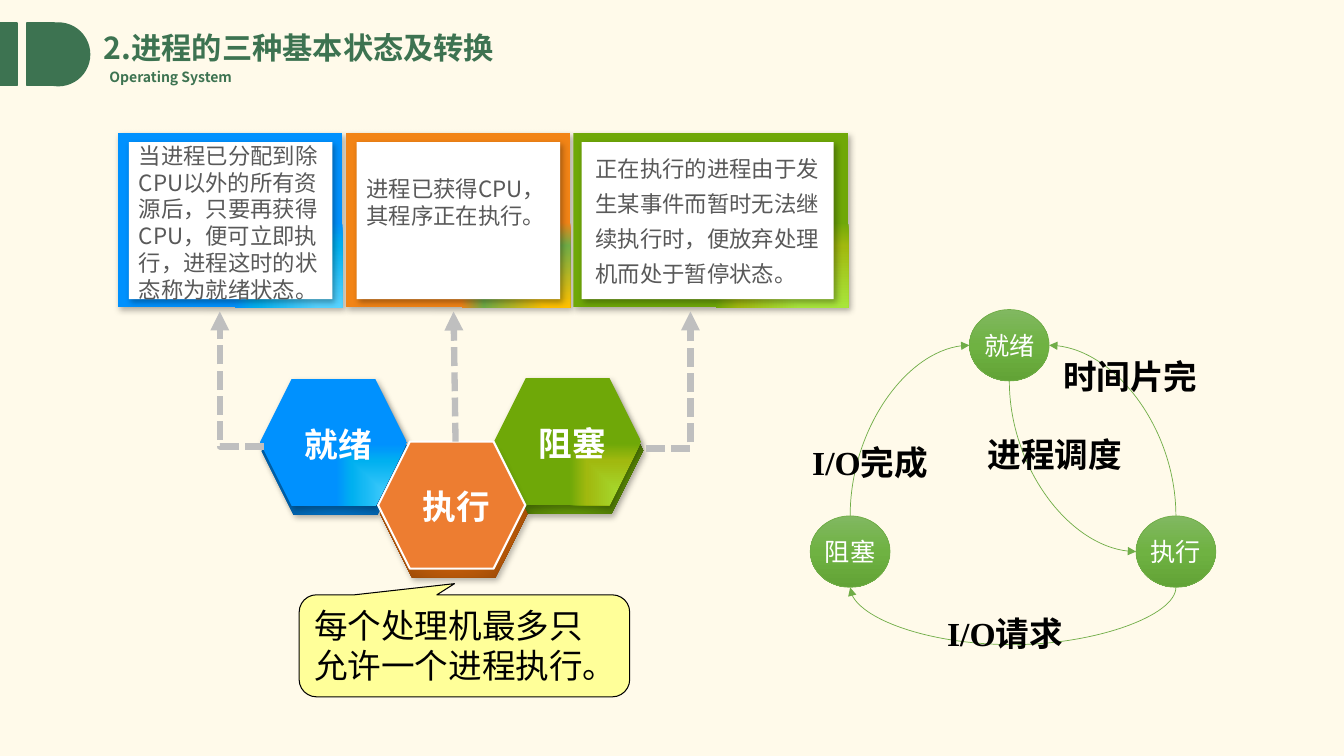
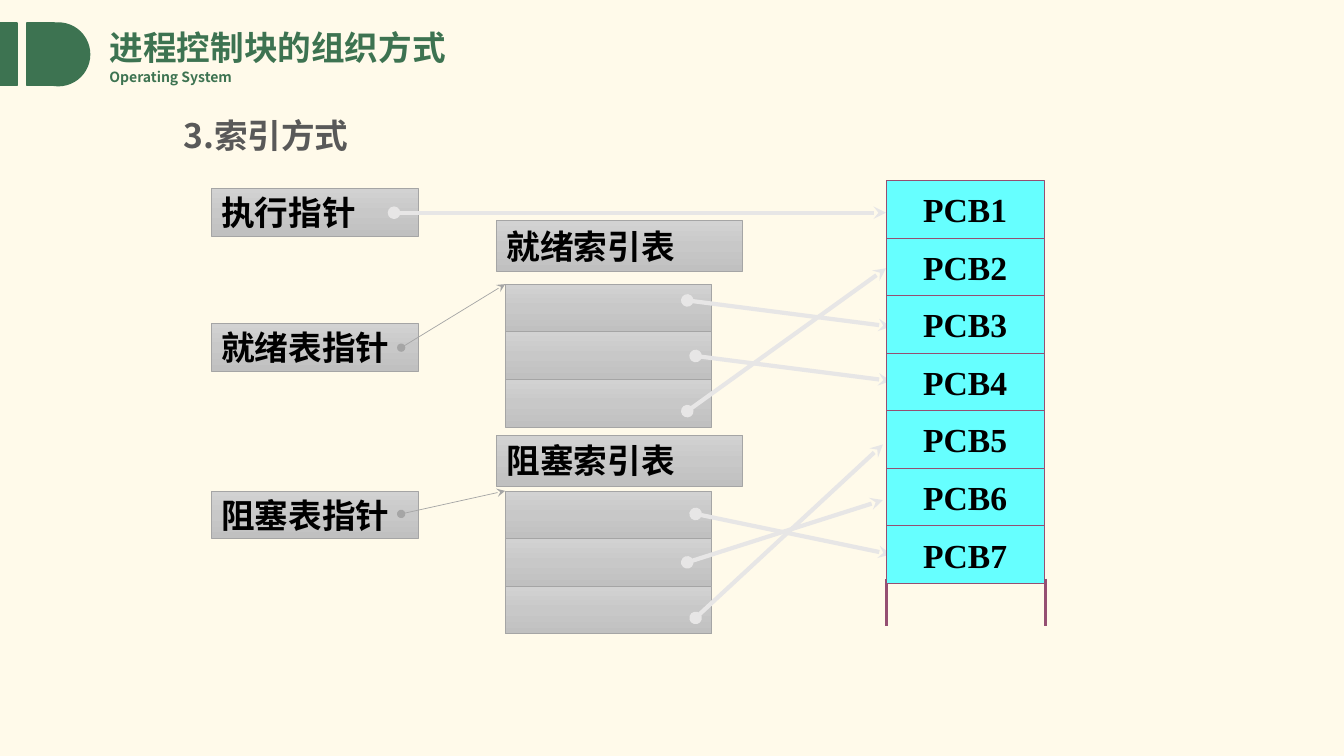
from lxml import etree
from pptx import Presentation
from pptx.dml.color import RGBColor
from pptx.enum.dml import MSO_LINE
from pptx.enum.shapes import MSO_CONNECTOR as Link, MSO_SHAPE as Preset
from pptx.enum.text import MSO_ANCHOR as Anchor, MSO_AUTO_SIZE, PP_ALIGN as Align
from pptx.oxml.ns import qn
from pptx.util import Cm, Pt

CREAM = RGBColor(0xFF, 0xFA, 0xEA)
GREEN = RGBColor(0x3D, 0x73, 0x51)
LEAF = RGBColor(0x70, 0xAD, 0x47)
ORANGE = RGBColor(0xED, 0x7D, 0x31)
YELLOW = RGBColor(0xFF, 0xFF, 0x99)
CYAN = RGBColor(0x66, 0xFF, 0xFF)
PLUM = RGBColor(0x95, 0x4F, 0x72)
WHITE = RGBColor(0xFF, 0xFF, 0xFF)
BLACK = RGBColor(0, 0, 0)
TEXT_GRAY = RGBColor(0x59, 0x59, 0x59)
DASH_GRAY = RGBColor(0xBF, 0xBF, 0xBF)
EDGE_GRAY = RGBColor(0xA5, 0xA5, 0xA5)
PALE_GRAY = RGBColor(0xE7, 0xE6, 0xE6)

SANS = "Noto Sans CJK SC"
SERIF = "Times New Roman"

# Gradient: stops of (percent, colour), then the path kind, or None for top to bottom
BLUE_FACE = ([(0, "57D3FF"), (71, "00B0F0"), (97, "0091FE")], "rect")
GREEN_FACE = ([(0, "A8E53B"), (70, "A1B90F"), (97, "6FA808")], "rect")
AMBER_FACE = ([(0, "FFC000"), (71, "70AD47"), (97, "F28416")], "rect")
BLUE_SIDE = ([(0, "00B0F0"), (41, "007DDA"), (97, "005696")], "circle")
GREEN_SIDE = ([(0, "A8E53B"), (55, "679D07"), (97, "416305")], "circle")
ORANGE_SIDE = ([(0, "C49500"), (32, "E06B0A"), (97, "884106")], "circle")
LEAF_FADE = ([(0, "81B861"), (50, "6FB242"), (100, "62A336")], None)
GRAY_FADE = ([(0, "D2D2D2"), (50, "C8C8C8"), (100, "C0C0C0")], None)
FOCUS = {"rect": {"l": "100000", "t": "100000"},
         "circle": dict.fromkeys("ltrb", "50000")}

TOP, LEFT, BOTTOM, RIGHT = 0, 2, 4, 6  # connection sites of an ellipse


def child(parent, tag, **attributes):
    return etree.SubElement(parent, qn(tag), {key: str(value) for key, value in attributes.items()})


def write(shape, text, size=24, color=BLACK, font=SERIF, bold=True, align=Align.LEFT,
          anchor=Anchor.TOP, wrap=True, spacing=None):
    frame = shape.text_frame
    frame.auto_size = MSO_AUTO_SIZE.NONE
    frame.word_wrap = wrap
    frame.vertical_anchor = anchor
    para = frame.paragraphs[0]
    para.alignment = align
    if spacing:
        para.line_spacing = spacing
    span = para.add_run()
    span.text = text
    span.font.size = Pt(size)
    span.font.bold = bold
    span.font.color.rgb = color
    span.font.name = font
    child(span.font._element, "a:ea", typeface=SANS)


def paint_gradient(shape, stops, kind):
    shape.fill.gradient()
    gradient = shape._element.spPr.find(qn("a:gradFill"))
    for old in list(gradient):
        gradient.remove(old)
    stop_list = child(gradient, "a:gsLst")
    for percent, color in stops:
        child(child(stop_list, "a:gs", pos=percent * 1000), "a:srgbClr", val=color)
    if kind:
        child(child(gradient, "a:path", path=kind), "a:fillToRect", **FOCUS[kind])
    else:
        child(gradient, "a:lin", ang=5400000, scaled=0)


def cast_shadow(shape):
    effects = shape._element.spPr.find(qn("a:effectLst"))
    shadow = child(effects, "a:outerShdw", blurRad=Pt(4.5), dist=Pt(2.6), dir=53 * 60000,
                   algn="tl", rotWithShape=0)
    child(child(shadow, "a:srgbClr", val="000000"), "a:alpha", val=30000)


def site_point(ellipse, site):
    across = {LEFT: 0, RIGHT: 2}.get(site, 1)
    down = {TOP: 0, BOTTOM: 2}.get(site, 1)
    return (ellipse.left + ellipse.width * across // 2,
            ellipse.top + ellipse.height * down // 2)


class Builder:
    """Holds the deck's style and the slide being drawn; lengths are centimetres."""

    def __init__(self):
        self.deck = Presentation()
        self.deck.slide_width, self.deck.slide_height = Cm(33.87), Cm(19.05)
        background = self.deck.slide_master.background.fill
        background.solid()
        background.fore_color.rgb = CREAM
        self.page = None

    def new_page(self, title, left, size):
        self.page = self.deck.slides.add_slide(self.deck.slide_layouts[5])
        for preset, x, width in ((Preset.RECTANGLE, 0, 0.43), (Preset.RECTANGLE, 0.68, 0.7),
                                 (Preset.OVAL, 0.68, 1.58)):
            self.shape(preset, (x, 0.58, width, 1.58), GREEN, GREEN, 1)
        self.text((2.51, 1.6, 4, 0.69), "Operating System", size=10, color=GREEN, font=SANS)
        heading = self.page.shapes.title
        heading.left, heading.top, heading.width, heading.height = map(Cm, (left, 0.56, 13, 1.27))
        write(heading, title, size=size, color=GREEN, font=SANS, anchor=Anchor.MIDDLE)

    def text(self, box, text, **style):
        write(self.page.shapes.add_textbox(*map(Cm, box)), text, **style)

    def shape(self, preset, box, fill, line=None, width=0.75, shadow=False):
        """Draws a preset shape; fill is a colour or a gradient."""
        shape = self.page.shapes.add_shape(preset, *map(Cm, box))
        if isinstance(fill, RGBColor):
            shape.fill.solid()
            shape.fill.fore_color.rgb = fill
        else:
            paint_gradient(shape, *fill)
        shape.shadow.inherit = False
        if shadow:
            cast_shadow(shape)
        self.stroke(shape, line, width)
        return shape

    def stroke(self, shape, color, width, dashed=False, head=None, tail=None):
        line = shape.line
        if color is None:
            line.fill.background()
            return
        line.color.rgb = color
        line.width = Pt(width)
        if dashed:
            line.dash_style = MSO_LINE.SQUARE_DOT
        for tag, kind in (("a:headEnd", head), ("a:tailEnd", tail)):
            if kind:
                child(shape._element.spPr.find(qn("a:ln")), tag, type=kind)

    def line(self, start, end, color, width, **ends):
        link = self.page.shapes.add_connector(Link.STRAIGHT, *map(Cm, start + end))
        self.stroke(link, color, width, **ends)
        child(link._element.spPr, "a:effectLst")

    def elbow(self, points, color, width, **ends):
        first, *rest = [tuple(map(Cm, point)) for point in points]
        builder = self.page.shapes.build_freeform(*first)
        builder.add_line_segments(rest, close=False)
        path = builder.convert_to_shape()
        path.fill.background()
        path.shadow.inherit = False
        self.stroke(path, color, width, **ends)

    def curve(self, source, source_site, target, target_site, sag=None):
        """Links two ellipses, leaving the source vertically; sag is the depth of a U bend."""
        (x1, y1), (x2, y2) = site_point(source, source_site), site_point(target, target_site)
        # The preset curve leaves sideways, so its box is swapped and turned.
        run, rise = abs(y2 - y1) or Cm(0.01), abs(x2 - x1)
        left, top = (x1 + x2 - run) // 2, (y1 + y2 - rise) // 2
        begin, end = left, left + run
        if not sag and (y2 > y1) == (x2 > x1):
            begin, end = end, begin
        link = self.page.shapes.add_connector(Link.CURVE, begin, top, end, top + rise)
        element = link._element
        element.spPr.find(qn("a:xfrm")).set("rot", str((270 if x2 > x1 else 90) * 60000))
        geometry = element.spPr.find(qn("a:prstGeom"))
        if sag:
            guides = geometry.find(qn("a:avLst"))
            if guides is None:
                guides = child(geometry, "a:avLst")
            child(guides, "a:gd", name="adj1", fmla=f"val {Cm(sag) * 100000 // run}")
        else:
            geometry.set("prst", "curvedConnector2")
        joints = element.find(qn("p:nvCxnSpPr")).find(qn("p:cNvCxnSpPr"))
        child(joints, "a:stCxn", id=source.shape_id, idx=source_site)
        child(joints, "a:endCxn", id=target.shape_id, idx=target_site)
        self.stroke(link, LEAF, 0.5, tail="triangle")
        child(element.spPr, "a:effectLst")


def draw_states(builder):
    builder.new_page("2.进程的三种基本状态及转换", 2.36, 21.6)

    hexagons = (("就绪", 6.55, 9.55, BLUE_SIDE, BLUE_FACE),
                ("阻塞", 12.45, 9.53, GREEN_SIDE, GREEN_FACE),
                ("执行", 9.53, 11.13, ORANGE_SIDE, ORANGE))
    for name, x, y, side, face in hexagons:
        flat = face == ORANGE
        builder.shape(Preset.HEXAGON, (x + 0.05, y + 0.22, 3.71, 3.2), side, shadow=True)
        builder.shape(Preset.HEXAGON, (x, y, 3.71, 3.2), face, WHITE if flat else None, 1.5,
                      shadow=not flat)
    for name, x, y, *_ in hexagons:
        builder.text((x + 0.5, y + 1, 2.95, 1.27), name, color=WHITE, font=SANS,
                     align=Align.CENTER)

    cards = (
        (2.97, 5.66, BLUE_FACE, (3.25, 5.13), (3.25, 3.45, 5.21, 4.37), None,
         "当进程已分配到除CPU以外的所有资源后，只要再获得CPU，便可立即执行，进程这时的状态称为就绪状态。"),
        (8.71, 5.66, AMBER_FACE, (8.99, 5.13), (8.99, 4.29, 5.13, 2.5), None,
         "进程已获得CPU，其程序正在执行。"),
        (14.45, 6.93, GREEN_FACE, (14.66, 6.35), (14.76, 3.58, 6.35, 3.81), 1.3,
         "正在执行的进程由于发生某事件而暂时无法继续执行时，便放弃处理机而处于暂停状态。"),
    )
    for x, width, frame, (inner_x, inner_width), text_box, spacing, text in cards:
        builder.shape(Preset.RECTANGLE, (x, 3.35, width, 4.39), frame, shadow=True)
        builder.shape(Preset.RECTANGLE, (inner_x, 3.58, inner_width, 3.96), WHITE, shadow=True)
        builder.text(text_box, text, size=16, color=TEXT_GRAY, font=SANS, bold=False,
                     spacing=spacing)

    dashes = {"color": DASH_GRAY, "width": 4.5, "dashed": True, "tail": "triangle"}
    builder.elbow([(6.65, 11.25), (5.54, 11.25), (5.54, 7.85)], **dashes)
    builder.elbow([(16.28, 11.3), (17.4, 11.3), (17.4, 7.85)], **dashes)
    builder.line((11.48, 11.13), (11.43, 7.85), **dashes)

    callout = builder.shape(Preset.ROUNDED_RECTANGULAR_CALLOUT, (7.54, 14.99, 8.33, 2.57),
                            YELLOW, BLACK)
    for index, value in enumerate((-0.03, -0.61, 0.17)):
        callout.adjustments[index] = value
    write(callout, "每个处理机最多只允许一个进程执行。", font=SANS, bold=False)

    nodes = []
    for name, x, y in (("就绪", 24.43, 7.8), ("执行", 28.63, 13), ("阻塞", 20.42, 13)):
        node = builder.shape(Preset.OVAL, (x, y, 2.01, 1.8), LEAF_FADE, LEAF, 0.5)
        write(node, name, size=18, color=WHITE, font=SANS, bold=False, align=Align.CENTER,
              anchor=Anchor.MIDDLE, wrap=False)
        nodes.append(node)
    ready, running, blocked = nodes
    builder.curve(blocked, TOP, ready, LEFT)
    builder.curve(running, TOP, ready, RIGHT)
    builder.curve(ready, BOTTOM, running, LEFT)
    builder.curve(running, BOTTOM, blocked, BOTTOM, sag=1.45)
    for label, x, y in (("进程调度", 24.64, 10.8), ("I/O请求", 23.62, 15.32),
                        ("I/O完成", 20.22, 11), ("时间片完", 26.54, 8.84)):
        builder.text((x, y, 4.6, 1.28), label)


def draw_index(builder):
    builder.new_page("进程控制块的组织方式", 2.51, 24)
    builder.text((4.37, 2.77, 6, 1.27), "3.索引方式", color=TEXT_GRAY, font=SANS)

    def gray_box(*box):
        return builder.shape(Preset.RECTANGLE, box, GRAY_FADE, EDGE_GRAY, 0.5)

    for name, y in (("执行指针", 4.75), ("就绪表指针", 8.15), ("阻塞表指针", 12.37)):
        write(gray_box(5.33, y, 5.21, 1.2), name, anchor=Anchor.MIDDLE)
    for name, caption_y, table_y in (("就绪索引表", 5.56, 7.16), ("阻塞索引表", 10.97, 12.37)):
        for row in range(3):
            gray_box(12.73, table_y + row * 1.2, 5.21, 1.2)
        write(gray_box(12.52, caption_y, 6.2, 1.28), name)

    ends = {"head": "oval", "tail": "stealth"}
    for start, end in (((10.11, 8.76), (12.73, 7.16)), ((10.11, 12.95), (12.73, 12.37))):
        builder.line(start, end, EDGE_GRAY, 0.5, **ends)
    for start, end in (((9.93, 5.36), (22.33, 5.36)), ((17.32, 10.36), (22.33, 6.76)),
                       ((17.32, 7.57), (22.45, 8.23)), ((17.53, 8.97), (22.45, 9.6)),
                       ((17.53, 12.95), (22.45, 13.97)), ((17.53, 15.57), (22.25, 11.2)),
                       ((17.32, 14.17), (22.25, 12.6))):
        builder.line(start, end, PALE_GRAY, 3, **ends)

    for x in (22.35, 26.34):
        builder.line((x, 14.58), (x, 15.77), PLUM, 2.25)
    for index in range(7):
        block = builder.shape(Preset.RECTANGLE, (22.33, 4.55 + index * 1.45, 3.99, 1.45),
                              CYAN, PLUM)
        write(block, f"PCB{index + 1}", align=Align.CENTER, anchor=Anchor.MIDDLE)


def main():
    builder = Builder()
    draw_states(builder)
    draw_index(builder)
    builder.deck.save("out.pptx")


if __name__ == "__main__":
    main()
